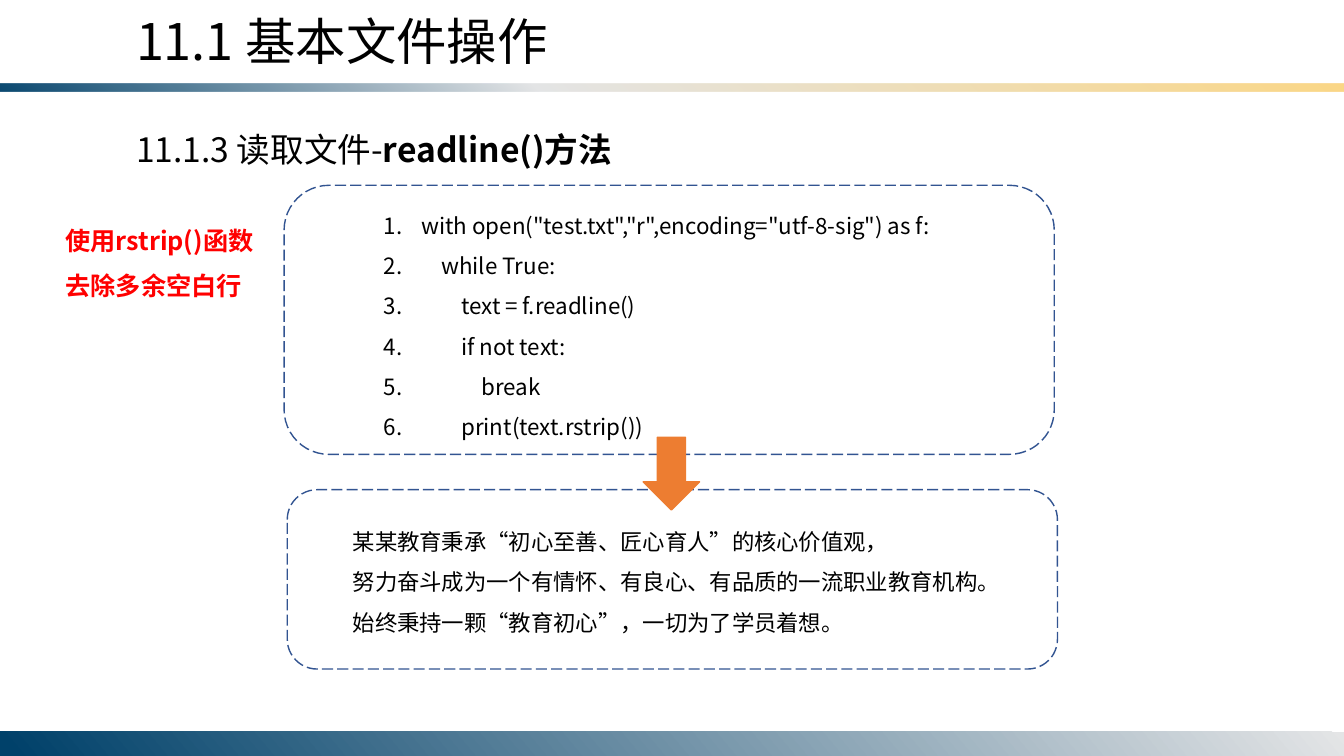
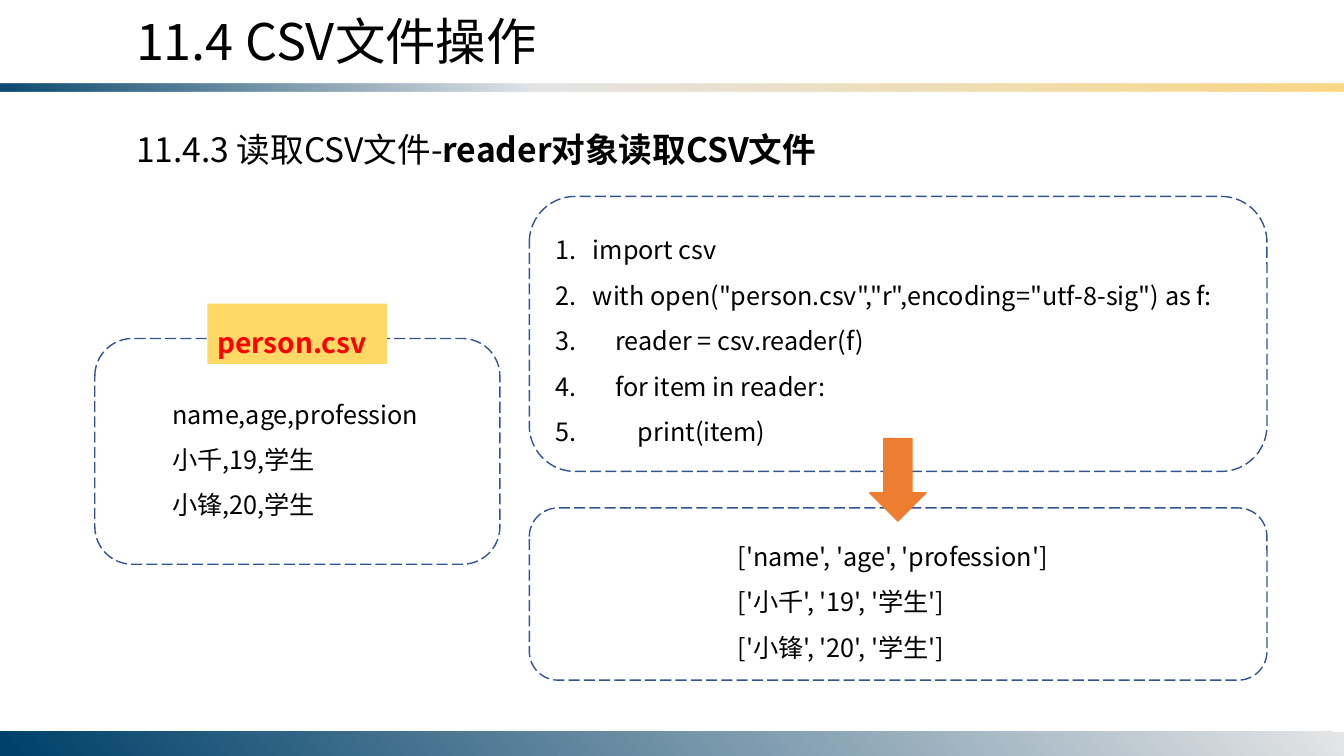
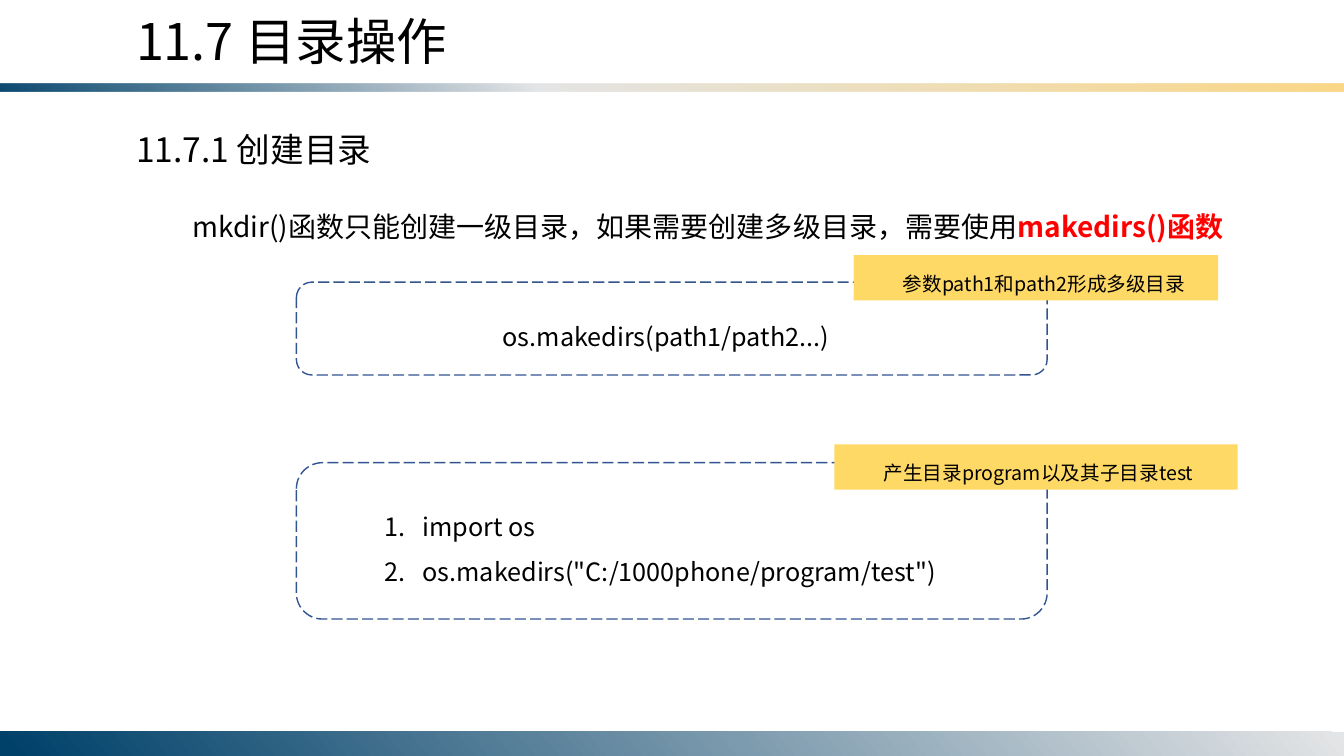
"""Builds three lesson slides about file, CSV and directory operations."""
from lxml import etree
from pptx import Presentation
from pptx.dml.color import RGBColor
from pptx.enum.dml import MSO_LINE
from pptx.enum.shapes import MSO_SHAPE
from pptx.enum.text import MSO_AUTO_SIZE
from pptx.oxml.ns import qn
from pptx.util import Cm, Pt

RECTANGLE = MSO_SHAPE.RECTANGLE
ROUNDED_RECTANGLE = MSO_SHAPE.ROUNDED_RECTANGLE
DOWN_ARROW = MSO_SHAPE.DOWN_ARROW
LONG_DASH = MSO_LINE.LONG_DASH
FIT_TEXT = MSO_AUTO_SIZE.SHAPE_TO_FIT_TEXT

BLACK = RGBColor(0x00, 0x00, 0x00)
RED = RGBColor(0xFF, 0x00, 0x00)
FRAME_BLUE = RGBColor(0x32, 0x54, 0x91)
ARROW_ORANGE = RGBColor(0xED, 0x7D, 0x31)
TAG_YELLOW = RGBColor(0xFF, 0xD9, 0x66)
NAVY = RGBColor(0x00, 0x41, 0x6A)
SILVER = RGBColor(0xE4, 0xE5, 0xE6)
GOLD = RGBColor(0xFB, 0xD7, 0x86)

FONT = "Noto Sans CJK SC"
SLIDE_WIDTH, SLIDE_HEIGHT = 33.87, 19.05
TITLE_BOX = (3.18, 0.13, 15.54, 1.8)
HEADING_LEFT, HEADING_TOP, HEADING_HEIGHT = 3.18, 3.12, 1.27
ARROW_WIDTH = 1.42
NUMBER_INDENT = 0.95

BANDS = [
    {"box": (0, 2.11, SLIDE_WIDTH, 0.2), "angle": 50, "flipped": True,
     "stops": [(0, NAVY, 95), (40, SILVER, 100), (100, GOLD, 100)]},
    {"box": (0, 18.44, SLIDE_WIDTH, 0.61), "angle": 140, "flipped": False,
     "stops": [(0, SILVER, 100), (99, NAVY, 100)]},
]

SLIDES = [
    {
        "title": "11.1 基本文件操作",
        "heading": [("11.1.3 读取文件-", {}), ("readline()方法", {"bold": True})],
        "heading_width": 13.11,
        "frames": [(7.16, 4.67, 19.41, 6.78), (7.24, 12.34, 19.41, 4.52)],
        "arrows": [(16.21, 11.02, 1.83)],
        "texts": [
            {"box": (9.42, 4.88, 15.04, 6.4), "size": 16, "numbered": True, "lines": [
                'with open("test.txt","r",encoding="utf-8-sig") as f:',
                "    while True:",
                "        text = f.readline()",
                "        if not text:",
                "            break",
                "        print(text.rstrip())"]},
            {"box": (8.64, 12.85, 16.59, 3.33), "size": 16, "lines": [
                "某某教育秉承“初心至善、匠心育人”的核心价值观，",
                "努力奋斗成为一个有情怀、有良心、有品质的一流职业教育机构。",
                "始终秉持一颗“教育初心”，一切为了学员着想。"]},
            {"box": (1.4, 5.16, 5.61, 2.57), "size": 18, "color": RED, "bold": True,
             "lines": ["使用rstrip()函数去除多余空白行"]},
        ],
    },
    {
        "title": "11.4 CSV文件操作",
        "heading": [("11.4.3 读取CSV文件-", {}),
                    ("reader对象读取CSV文件", {"bold": True})],
        "heading_width": 17.88,
        "frames": [(13.34, 4.95, 18.59, 6.93), (13.34, 12.8, 18.59, 4.34),
                   (2.39, 8.53, 10.21, 5.69)],
        "arrows": [(21.92, 11.05, 2.08)],
        "texts": [
            {"box": (13.74, 5.41, 17.88, 6.02), "size": 18, "numbered": True, "lines": [
                "import csv",
                'with open("person.csv","r",encoding="utf-8-sig") as f:',
                "    reader = csv.reader(f)",
                "    for item in reader:",
                "        print(item)"]},
            {"box": (18.34, 13.13, 8.71, 3.71), "size": 18, "lines": [
                "['name', 'age', 'profession']",
                "['小千', '19', '学生']",
                "['小锋', '20', '学生']"]},
            {"box": (4.09, 9.55, 6.81, 3.71), "size": 18, "lines": [
                "name,age,profession", "小千,19,学生", "小锋,20,学生"]},
            {"box": (5.23, 7.65, 4.52, 1.52), "size": 20, "color": RED, "bold": True,
             "fill": TAG_YELLOW, "lines": ["person.csv"]},
        ],
    },
    {
        "title": "11.7 目录操作",
        "heading": [("11.7.1 创建目录", {})],
        "heading_width": 13.11,
        "frames": [(7.47, 7.11, 18.92, 2.34), (7.47, 11.66, 18.92, 3.94)],
        "arrows": [],
        "texts": [
            {"box": (3.18, 4.72, 29.11, 1.52), "size": 20, "first_indent": 1.42, "lines": [
                [("mkdir()函数只能创建一级目录，如果需要创建多级目录，需要使用", {}),
                 ("makedirs()函数", {"color": RED, "bold": True})]]},
            {"box": (12.42, 7.59, 9.04, 1.4), "size": 18,
             "lines": ["os.makedirs(path1/path2...)"]},
            {"box": (9.45, 12.37, 14.96, 2.57), "size": 18, "numbered": True, "lines": [
                "import os", 'os.makedirs("C:/1000phone/program/test")']},
            {"box": (21.51, 6.43, 9.19, 1.14), "size": 14, "first_indent": 0.99,
             "fill": TAG_YELLOW, "lines": ["参数path1和path2形成多级目录"]},
            {"box": (21.03, 11.2, 10.16, 1.14), "size": 14, "first_indent": 0.99,
             "fill": TAG_YELLOW, "lines": ["产生目录program以及其子目录test"]},
        ],
    },
]


def lengths(box):
    return [Cm(value) for value in box]


def format_run(run, size, color=BLACK, bold=False):
    font = run.font
    font.name, font.size, font.bold = FONT, Pt(size), bold
    font.color.rgb = color
    etree.SubElement(run.font._element, qn("a:ea"), typeface=FONT)


def indent(paragraph, left, first):
    properties = paragraph._p.get_or_add_pPr()
    properties.set("marL", str(Cm(left)))
    properties.set("indent", str(Cm(first)))
    return properties


def add_text(slide, box, lines, size, color=BLACK, bold=False, spacing=1.5,
             numbered=False, first_indent=0, fill=None):
    shape = slide.shapes.add_textbox(*lengths(box))
    if fill is not None:
        shape.fill.solid()
        shape.fill.fore_color.rgb = fill
    frame = shape.text_frame
    frame.word_wrap = True
    frame.auto_size = FIT_TEXT
    for index, line in enumerate(lines):
        paragraph = frame.add_paragraph() if index else frame.paragraphs[0]
        if numbered:
            properties = indent(paragraph, NUMBER_INDENT, -NUMBER_INDENT)
            etree.SubElement(properties, qn("a:buAutoNum"), type="arabicPeriod")
        elif first_indent:
            indent(paragraph, 0, first_indent)
        paragraph.line_spacing = spacing
        pieces = [(line, {})] if isinstance(line, str) else line
        for text, style in pieces:
            run = paragraph.add_run()
            run.text = text
            format_run(run, size, **{"color": color, "bold": bold, **style})


def add_plain_shape(slide, kind, box):
    shape = slide.shapes.add_shape(kind, *lengths(box))
    shape.shadow.inherit = False
    return shape


def add_frame(slide, box):
    frame = add_plain_shape(slide, ROUNDED_RECTANGLE, box)
    frame.fill.background()
    frame.line.color.rgb = FRAME_BLUE
    frame.line.width = Pt(1)
    frame.line.dash_style = LONG_DASH


def add_arrow(slide, left, top, height):
    arrow = add_plain_shape(slide, DOWN_ARROW, (left, top, ARROW_WIDTH, height))
    arrow.fill.solid()
    arrow.fill.fore_color.rgb = ARROW_ORANGE
    arrow.line.color.rgb = ARROW_ORANGE
    arrow.line.width = Pt(1)


def add_band(slide, box, angle, flipped, stops):
    band = add_plain_shape(slide, RECTANGLE, box)
    band.line.fill.background()
    band.fill.gradient()
    properties = band.element.spPr
    if flipped:
        properties.find(qn("a:xfrm")).set("flipV", "1")
    gradient = properties.find(qn("a:gradFill"))
    gradient.find(qn("a:lin")).set("ang", str(angle * 60000))
    stop_list = gradient.find(qn("a:gsLst"))
    for stop in list(stop_list):
        stop_list.remove(stop)
    for position, color, opacity in stops:
        stop = etree.SubElement(stop_list, qn("a:gs"), pos=str(position * 1000))
        value = etree.SubElement(stop, qn("a:srgbClr"), val=str(color))
        if opacity < 100:
            etree.SubElement(value, qn("a:alpha"), val=str(opacity * 1000))
    return band


def add_bands_to_layout(layout, slide):
    for placeholder in list(layout.placeholders):
        placeholder.element.getparent().remove(placeholder.element)
    for band in [add_band(slide, **band) for band in BANDS]:
        layout.element.cSld.spTree.append(band.element)


def main():
    presentation = Presentation()
    presentation.slide_width = Cm(SLIDE_WIDTH)
    presentation.slide_height = Cm(SLIDE_HEIGHT)
    layout = presentation.slide_layouts[6]
    slides = [presentation.slides.add_slide(layout) for _ in SLIDES]
    add_bands_to_layout(layout, slides[0])
    for slide, content in zip(slides, SLIDES):
        add_text(slide, TITLE_BOX, [content["title"]], 36, spacing=1.0)
        heading_box = (HEADING_LEFT, HEADING_TOP, content["heading_width"], HEADING_HEIGHT)
        add_text(slide, heading_box, [content["heading"]], 24, spacing=1.0)
        for box in content["frames"]:
            add_frame(slide, box)
        for text in content["texts"]:
            add_text(slide, **text)
        for arrow in content["arrows"]:
            add_arrow(slide, *arrow)
    presentation.save("out.pptx")


if __name__ == "__main__":
    main()
